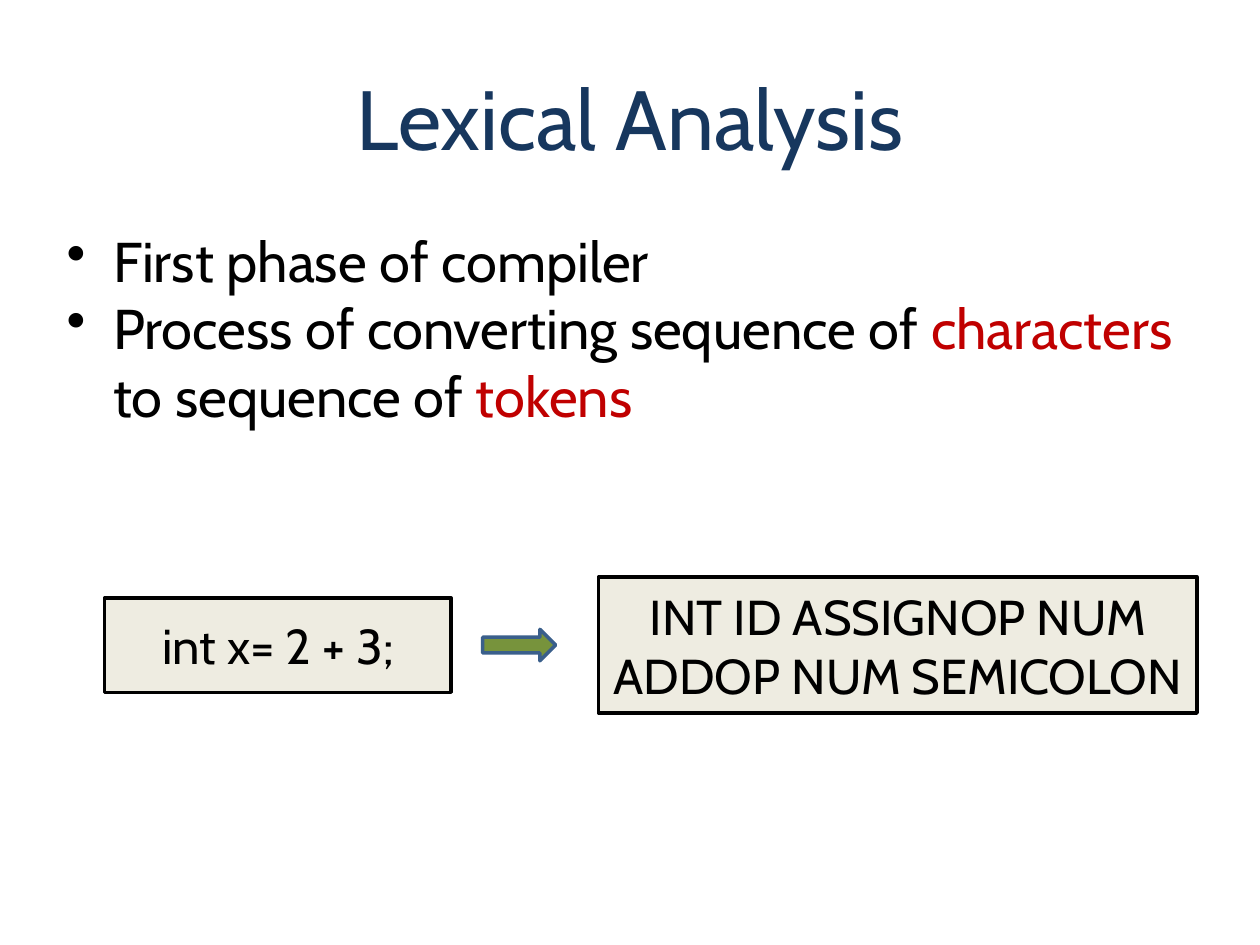
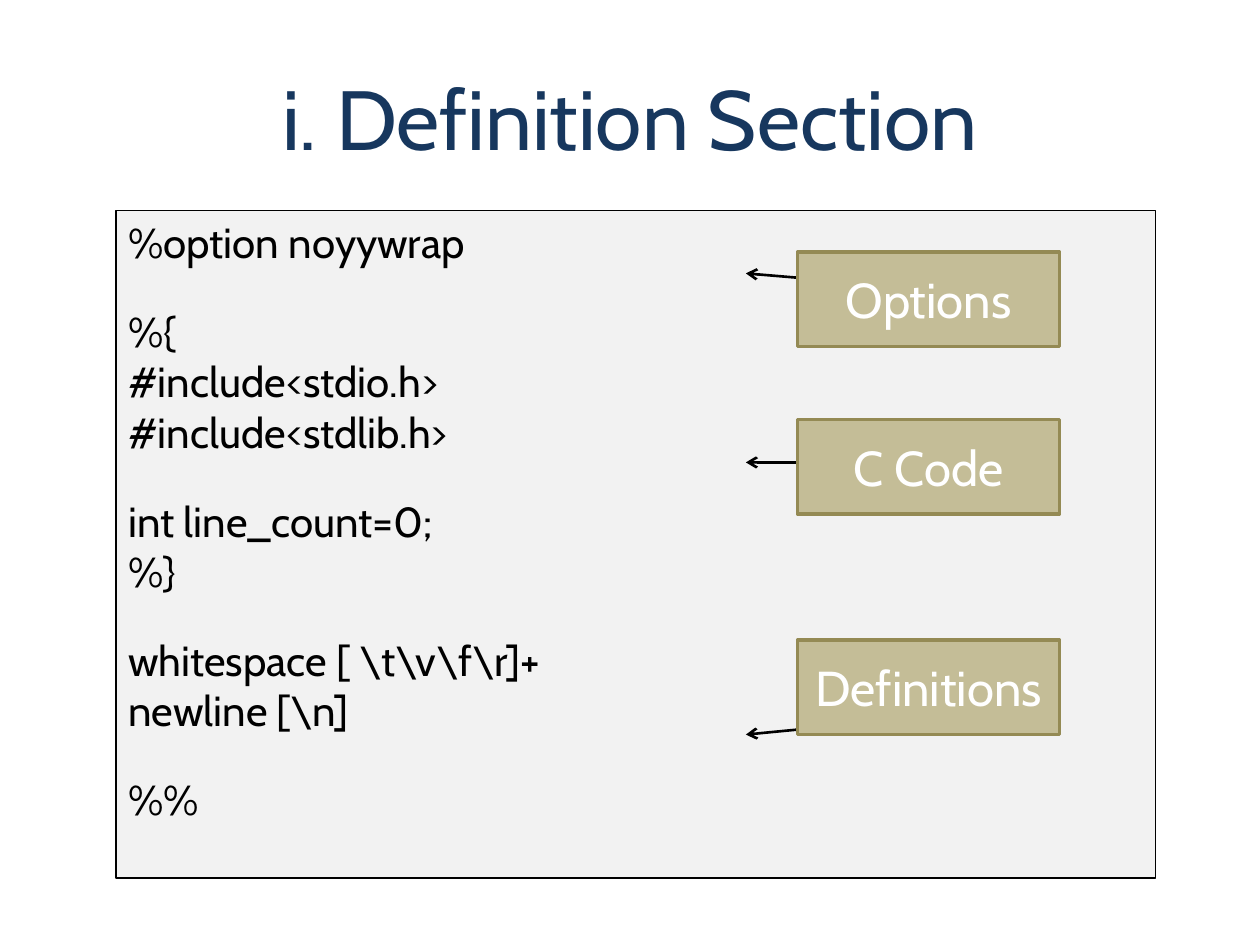
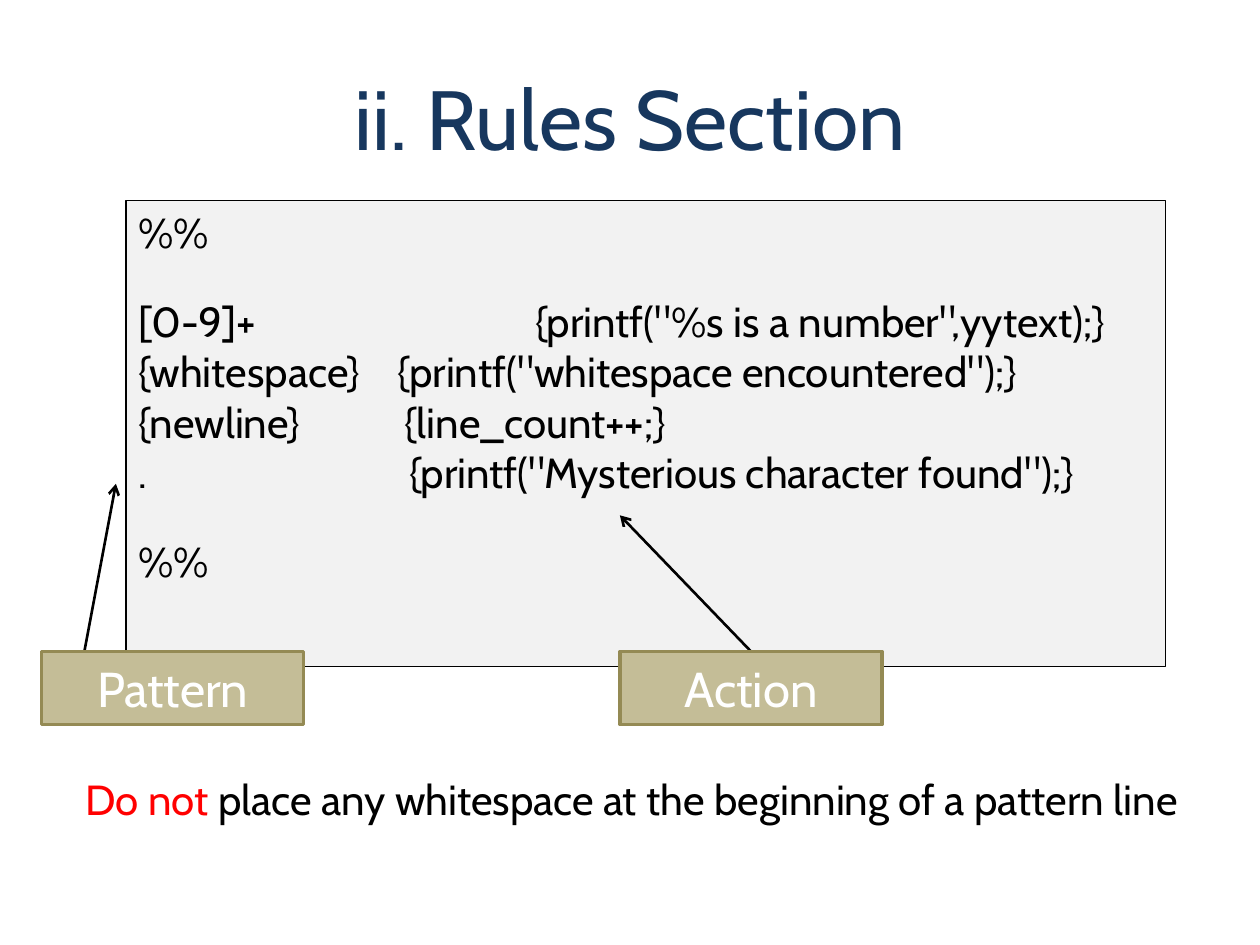
from pptx import Presentation
from pptx.dml.color import RGBColor
from pptx.enum.shapes import MSO_CONNECTOR as Link, MSO_SHAPE as Form
from pptx.enum.text import MSO_ANCHOR as Anchor, PP_ALIGN as Align
from pptx.oxml.ns import qn
from pptx.util import Inches, Pt
from lxml.etree import SubElement as sub

FONT = "Cabin"
NAVY, BLACK, WHITE = "17375E", "000000", "FFFFFF"
CRIMSON, RED = "C00000", "FF0000"
CREAM, GREY, GREEN, BLUE = "EEECE1", "F2F2F2", "77933C", "3A5F8B"
TAN, OLIVE = "C4BD97", "948A54"
GAP = 22


def paint(color, tone):
    color.rgb = RGBColor.from_string(tone)


def write(par, runs, size):
    """Add (text, colour) runs to a paragraph."""
    for text, tone in runs:
        run = par.add_run()
        run.text = text
        run.font.name = FONT
        run.font.size = Pt(size)
        paint(run.font.color, tone)


def paragraph(frame, first):
    return frame.paragraphs[0] if first else frame.add_paragraph()


def text_box(slide, box):
    frame = slide.shapes.add_textbox(*map(Inches, box)).text_frame
    frame.word_wrap = True
    return frame


def panel(slide, box, fill, line, width=2, form=Form.RECTANGLE):
    shape = slide.shapes.add_shape(form, *map(Inches, box))
    shape.shadow.inherit = False
    shape.fill.solid()
    paint(shape.fill.fore_color, fill)
    paint(shape.line.color, line)
    shape.line.width = Pt(width)
    shape.text_frame.word_wrap = True
    return shape.text_frame


def center(frame, text, size, tone):
    frame.vertical_anchor = Anchor.MIDDLE
    par = frame.paragraphs[0]
    par.alignment = Align.CENTER
    write(par, [(text, tone)], size)


def titled(deck, title):
    slide = deck.slides.add_slide(deck.slide_layouts[6])
    center(text_box(slide, (0.5, 0.3, 9, 1.25)), title, 48, NAVY)
    return slide


def arrow(slide, start, end):
    line = slide.shapes.add_connector(
        Link.STRAIGHT, *map(Inches, (*start, *end)))
    paint(line.line.color, BLACK)
    line.line.width = Pt(1.5)
    props = line._element.spPr
    sub(props.find(qn("a:ln")), qn("a:tailEnd"), type="arrow")
    sub(props, qn("a:effectLst"))


def bullets(slide, box, items):
    frame = text_box(slide, box)
    for i, runs in enumerate(items):
        par = paragraph(frame, i == 0)
        props = par._p.get_or_add_pPr()
        props.set("marL", str(Inches(0.38)))
        props.set("indent", str(Inches(-0.37)))
        tint = sub(props, qn("a:buClr"))
        sub(tint, qn("a:srgbClr"), val=BLACK)
        sub(props, qn("a:buChar"), char="•")
        write(par, runs, 32)


def flow(slide, box, source, tokens):
    """Source box, block arrow and token box on one middle line."""
    left, top, width, height = box

    def part(x, wide, high):
        return left + x, top + (height - high) / 2, wide, high

    wide = 4.75
    for place, text in ((part(0, 2.75, 0.75), source),
                        (part(width - wide, wide, height), tokens)):
        center(panel(slide, place, CREAM, BLACK), text, 28, BLACK)
    panel(slide, part(3, 0.58, 0.25), GREEN, BLUE, form=Form.RIGHT_ARROW)


def code(slide, box, groups):
    """Groups of lines with a gap between; a line may be (left, tab, right)."""
    frame = panel(slide, box, GREY, BLACK, 0.75)
    frame.vertical_anchor = Anchor.TOP
    for g, group in enumerate(groups):
        for n, line in enumerate(group):
            par = paragraph(frame, g + n == 0)
            par.alignment = Align.LEFT
            if g and n == 0:
                par.space_before = Pt(GAP)
            if isinstance(line, tuple):
                left, stop, right = line
                tabs = sub(par._p.get_or_add_pPr(), qn("a:tabLst"))
                sub(tabs, qn("a:tab"), pos=str(Inches(stop)), algn="l")
                line = f"{left}\t{right}"
            write(par, [(line, BLACK)], 24)


def callout(slide, box, label, start, end):
    """Label with an arrow whose ends are offsets from the box corner."""
    left, top = box[:2]
    arrow(slide, *((left + x, top + y) for x, y in (start, end)))
    center(panel(slide, box, TAN, OLIVE), label, 28, WHITE)


def lexical(deck):
    slide = titled(deck, "Lexical Analysis")
    bullets(slide, (0.42, 1.75, 9.17, 4.95), [
        [("First phase of compiler", BLACK)],
        [("Process of converting sequence of ", BLACK),
         ("characters", CRIMSON),
         (" to sequence of ", BLACK),
         ("tokens", CRIMSON)],
    ])
    flow(slide, (0.83, 4.58, 8.67, 1.08), "int x= 2 + 3;",
         "INT ID ASSIGNOP NUM ADDOP NUM SEMICOLON")


def definitions(deck):
    slide = titled(deck, "i. Definition Section")
    code(slide, (0.92, 1.67, 8.25, 5.3), [
        ["%option noyywrap"],
        ["%{", "#include<stdio.h>", "#include<stdlib.h>"],
        ["int line_count=0;", "%}"],
        [r"whitespace [ \t\v\f\r]+", r"newline [\n]"],
        ["%%"],
    ])
    for top, label, start, drop in (
            (2, "Options", (1.5, 0.33), 0.17),
            (3.33, "C Code", (1.59, 0.34), 0.34),
            (5.08, "Definitions", (1.25, 0.59), 0.75)):
        callout(slide, (6.33, top, 2.08, 0.75), label, start, (-0.41, drop))


def rules(deck):
    slide = titled(deck, "ii. Rules Section")
    code(slide, (1, 1.59, 8.25, 3.7), [
        ["%%"],
        [("[0-9]+", 3.15, '{printf("%s is a number",yytext);}'),
         ("{whitespace}", 2.06, '{printf("whitespace encountered");}'),
         ("{newline}", 2.11, "{line_count++;}"),
         (".", 2.15, '{printf("Mysterious character found");}')],
        ["%%"],
    ])
    for left, label, start, end in (
            (0.33, "Pattern", (0.34, 0), (0.59, -1.33)),
            (4.92, "Action", (1.04, 0), (0, -1.08))):
        callout(slide, (left, 5.17, 2.08, 0.58), label, start, end)
    note = text_box(slide, (0.58, 6.09, 8.92, 0.9))
    write(note.paragraphs[0], [
        ("Do not ", RED),
        ("place any whitespace at the beginning of a pattern line", BLACK),
    ], 24)


def main():
    deck = Presentation()
    deck.slide_width, deck.slide_height = Inches(10), Inches(7.5)
    for build in (lexical, definitions, rules):
        build(deck)
    deck.save("out.pptx")


if __name__ == "__main__":
    main()
